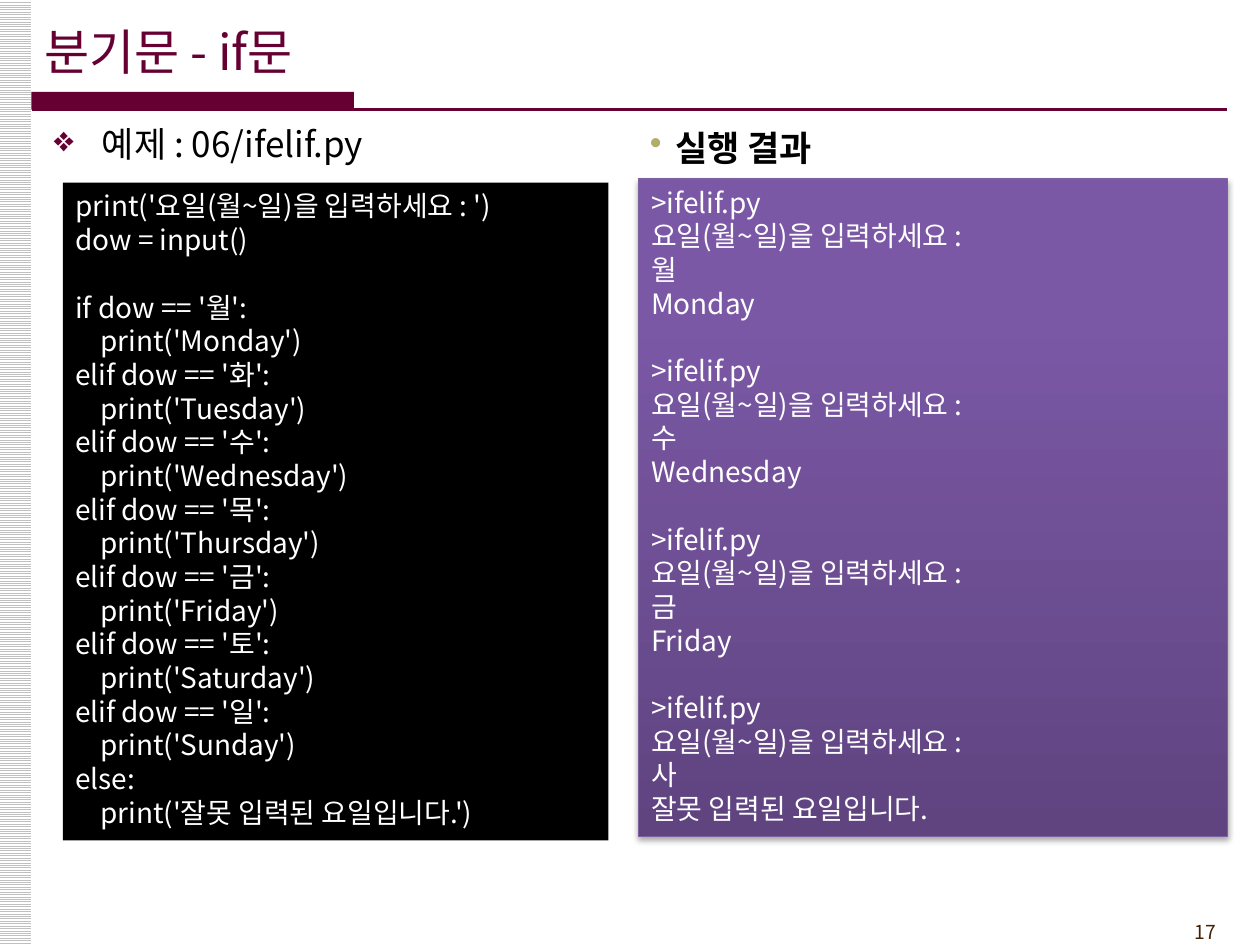
import dataclasses

import lxml.etree
import pptx
import pptx.dml.color
import pptx.enum.dml
import pptx.enum.shapes
import pptx.enum.text
import pptx.oxml
import pptx.oxml.ns
import pptx.util

Inches = pptx.util.Inches
Pt = pptx.util.Pt
ALIGN = pptx.enum.text.PP_ALIGN
ANCHOR = pptx.enum.text.MSO_ANCHOR
qn = pptx.oxml.ns.qn
NAMESPACE = 'xmlns:a="http://schemas.openxmlformats.org/drawingml/2006/main"'


@dataclasses.dataclass(frozen=True)
class Theme:
    font: str = "Noto Sans CJK KR"
    accent: str = "660033"
    black: str = "000000"
    white: str = "FFFFFF"
    stripe: str = "C0C0C0"
    number: str = "452103"
    bullet: str = "B1AE6B"
    border: str = "7D60A0"
    gradient: tuple = ((0, "5F4480"), (80, "7B58A6"), (100, "7C57A8"))
    title_size: float = 28
    heading_size: float = 20
    code_size: float = 16
    number_size: float = 11
    code_pitch: float = 19.25


def rgb(value):
    return pptx.dml.color.RGBColor.from_string(value)


class SlideBuilder:
    def __init__(self, slide, theme):
        self.slide = slide
        self.theme = theme

    def add_span(self, para, text, size, color, bold=False):
        span = para.add_run()
        span.text = text
        span.font.size = Pt(size)
        span.font.name = self.theme.font
        span.font.bold = bold
        span.font.color.rgb = rgb(color)
        east_asian = lxml.etree.SubElement(span.font._element, qn("a:ea"))
        east_asian.set("typeface", self.theme.font)

    def title(self, text, left, top, width, height):
        box = self.slide.shapes.title
        box.left, box.top = Inches(left), Inches(top)
        box.width, box.height = Inches(width), Inches(height)
        frame = box.text_frame
        frame.vertical_anchor = ANCHOR.MIDDLE
        frame.auto_size = pptx.enum.text.MSO_AUTO_SIZE.NONE
        para = frame.paragraphs[0]
        para.alignment = ALIGN.LEFT
        self.add_span(para, text, self.theme.title_size, self.theme.accent)

    def text_box(self, left, top, width, height):
        box = self.slide.shapes.add_textbox(
            Inches(left), Inches(top), Inches(width), Inches(height))
        box.text_frame.word_wrap = True
        return box.text_frame

    def heading(self, text, place, bullet, bullet_color, margin, indent, pitch, bold=False):
        para = self.text_box(*place).paragraphs[0]
        props = para._p.get_or_add_pPr()
        props.set("marL", str(Inches(margin)))
        props.set("indent", str(Inches(indent)))
        for xml in (f'<a:buClr {NAMESPACE}><a:srgbClr val="{bullet_color}"/></a:buClr>',
                    f'<a:buChar {NAMESPACE} char="{bullet}"/>'):
            props.append(pptx.oxml.parse_xml(xml))
        para.line_spacing = Pt(pitch)
        self.add_span(para, text, self.theme.heading_size, self.theme.black, bold)

    def page_number(self, text, left, top, width, height):
        frame = self.text_box(left, top, width, height)
        frame.vertical_anchor = ANCHOR.MIDDLE
        para = frame.paragraphs[0]
        para.alignment = ALIGN.RIGHT
        self.add_span(para, text, self.theme.number_size, self.theme.number)

    def rectangle(self, left, top, width, height, color=None):
        box = self.slide.shapes.add_shape(
            pptx.enum.shapes.MSO_SHAPE.RECTANGLE,
            Inches(left), Inches(top), Inches(width), Inches(height))
        box.shadow.inherit = False
        box.line.fill.background()
        if color:
            box.fill.solid()
            box.fill.fore_color.rgb = rgb(color)
        return box

    def striped_edge(self, *place):
        box = self.rectangle(*place)
        box.fill.patterned()
        box.fill.pattern = pptx.enum.dml.MSO_PATTERN.LIGHT_HORIZONTAL
        box.fill.fore_color.rgb = rgb(self.theme.stripe)
        box.fill.back_color.rgb = rgb(self.theme.white)

    def rule(self, left, right, top, weight):
        line = self.slide.shapes.add_connector(
            pptx.enum.shapes.MSO_CONNECTOR.STRAIGHT,
            Inches(left), Inches(top), Inches(right), Inches(top))
        line.line.color.rgb = rgb(self.theme.accent)
        line.line.width = Pt(weight)
        lxml.etree.SubElement(line._element.spPr, qn("a:effectLst"))

    def panel(self, blocks, *place):
        """Black panel of text; blocks are one line apart."""
        box = self.rectangle(*place, color=self.theme.black)
        frame = box.text_frame
        frame.word_wrap = True
        frame.vertical_anchor = ANCHOR.TOP
        for block_index, block in enumerate(blocks):
            for line_index, text in enumerate(block):
                first = block_index == line_index == 0
                para = frame.paragraphs[0] if first else frame.add_paragraph()
                para.alignment = ALIGN.JUSTIFY
                para.line_spacing = Pt(self.theme.code_pitch)
                if block_index and not line_index:
                    para.space_before = Pt(self.theme.code_pitch)
                self.add_span(para, text, self.theme.code_size, self.theme.white)
        return box

    def shade(self, box):
        """Upward gradient, thin border and soft shadow."""
        props = box._element.spPr
        stops = "".join(f'<a:gs pos="{pos * 1000}"><a:srgbClr val="{color}"/></a:gs>'
                        for pos, color in self.theme.gradient)
        gradient = pptx.oxml.parse_xml(
            f'<a:gradFill {NAMESPACE} rotWithShape="1"><a:gsLst>{stops}</a:gsLst>'
            '<a:lin ang="16200000" scaled="0"/></a:gradFill>')
        props.replace(props.find(qn("a:solidFill")), gradient)
        box.line.color.rgb = rgb(self.theme.border)
        box.line.width = Pt(0.75)
        shadow = pptx.oxml.parse_xml(
            f'<a:outerShdw {NAMESPACE} blurRad="{Pt(3.1)}" dist="{Pt(1.8)}" dir="5400000" '
            f'rotWithShape="0"><a:srgbClr val="{self.theme.black}">'
            '<a:alpha val="35000"/></a:srgbClr></a:outerShdw>')
        props.find(qn("a:effectLst")).append(shadow)


def main():
    deck = pptx.Presentation()
    deck.slide_width, deck.slide_height = Inches(10), Inches(7.5)
    theme = Theme()
    page = SlideBuilder(deck.slides.add_slide(deck.slide_layouts[5]), theme)

    # Page frame
    page.striped_edge(-0.01, 0, 0.26, 7.5)
    page.page_number("17", 8.92, 7.25, 0.83, 0.29)
    page.rectangle(0.25, 0.73, 2.56, 0.14, theme.accent)
    page.rule(0.25, 9.74, 0.87, 1.5)

    # Title and column headings
    page.title("분기문 - if문", 0.25, 0.09, 9.34, 0.63)
    page.heading("예제 : 06/ifelif.py", (0.33, 0.92, 4.3, 0.5),
                 "❖", theme.accent, 0.38, -0.38, 24)
    page.heading("실행 결과", (4.67, 0.92, 4.42, 0.5),
                 "•", theme.bullet, 0.59, -0.2, 26.4, bold=True)

    # Example code
    prompt = "요일(월~일)을 입력하세요 :"
    days = {"월": "Monday", "화": "Tuesday", "수": "Wednesday", "목": "Thursday",
            "금": "Friday", "토": "Saturday", "일": "Sunday"}
    wrong_day = "잘못 입력된 요일입니다."
    branches = []
    for korean, english in days.items():
        keyword = "elif" if branches else "if"
        branches += [f"{keyword} dow == '{korean}':", f"    print('{english}')"]
    branches += ["else:", f"    print('{wrong_day}')"]
    page.panel([[f"print('{prompt} ')", "dow = input()"], branches],
               0.5, 1.45, 4.33, 5.22)

    # Results of four runs
    results = [[">ifelif.py", prompt, entry, days.get(entry, wrong_day)]
               for entry in "월수금사"]
    page.shade(page.panel(results, 5.07, 1.42, 4.67, 5.22))

    deck.save("out.pptx")


if __name__ == "__main__":
    main()
